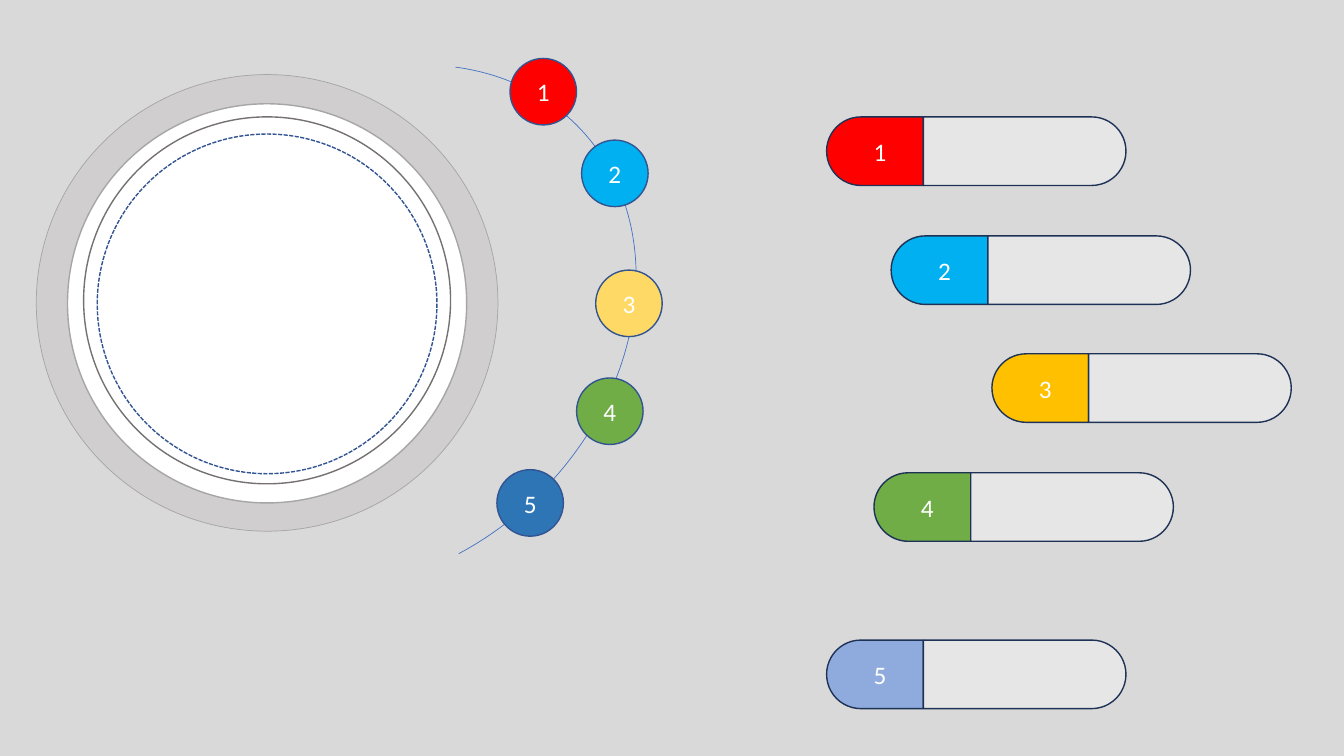
import pptx
import pptx.dml.color
import pptx.enum.dml
import pptx.enum.shapes
import pptx.enum.text
import pptx.util

COLORS = {
    "background": "D9D9D9", "white": "FFFFFF", "ring": "D0CECE", "ring_edge": "A5A5A5",
    "disc_edge": "A6A6A6", "inner_edge": "767171", "arc": "4472C4", "dot_edge": "325491",
    "pill": "E7E6E6", "pill_edge": "1E3256", "red": "FF0000", "sky": "00B0F0",
    "sand": "FFD966", "amber": "FFC000", "green": "70AD47", "blue": "2E75B6",
    "periwinkle": "8FAADC",
}
COLUMNS, ROWS = 133.33, 75
DOT_SIZE = 6.6
CAP_WIDTH, BODY_WIDTH, PILL_HEIGHT = 9.6, 20.1, 6.8
DIAL_CENTER = 26.5
SHAPES = pptx.enum.shapes.MSO_SHAPE


class SlideBuilder:
    """Draws styled elements on a slide divided into columns and rows."""

    def __init__(self, presentation):
        self.slide = presentation.slides.add_slide(presentation.slide_layouts[6])
        self.column = presentation.slide_width / COLUMNS
        self.row = presentation.slide_height / ROWS
        self.font_name, self.font_size = "Calibri", pptx.util.Pt(18)
        fill = self.slide.background.fill
        fill.solid()
        fill.fore_color.rgb = self.color("background")

    def color(self, name):
        return pptx.dml.color.RGBColor.from_string(COLORS[name])

    def shape(self, kind, left, top, width, height, fill, line, weight=1):
        shape = self.slide.shapes.add_shape(
            kind, round(left * self.column), round(top * self.row),
            round(width * self.column), round(height * self.row))
        shape.shadow.inherit = False
        if fill:
            shape.fill.solid()
            shape.fill.fore_color.rgb = self.color(fill)
        else:
            shape.fill.background()
        shape.line.color.rgb = self.color(line)
        shape.line.width = pptx.util.Pt(weight)
        return shape

    def label(self, shape, text):
        frame = shape.text_frame
        frame.text = text
        frame.vertical_anchor = pptx.enum.text.MSO_ANCHOR.MIDDLE
        paragraph = frame.paragraphs[0]
        paragraph.alignment = pptx.enum.text.PP_ALIGN.CENTER
        font = paragraph.runs[0].font
        font.name, font.size = self.font_name, self.font_size
        font.color.rgb = self.color("white")

    def arc(self, left, top, width, height, rotation, start, end):
        arc = self.shape(SHAPES.ARC, left, top, width, height, None, "arc", 0.5)
        arc.rotation = rotation
        arc.adjustments[0], arc.adjustments[1] = start, end

    def dial(self, top, width, height, fill, line, weight=1):
        left = DIAL_CENTER - width / 2
        return self.shape(SHAPES.OVAL, left, top, width, height, fill, line, weight)

    def dot(self, text, left, top, fill):
        dot = self.shape(SHAPES.OVAL, left, top, DOT_SIZE, DOT_SIZE, fill, "dot_edge")
        self.label(dot, text)

    def pill_end(self, left, top, width, fill, rounding):
        inset = (width - PILL_HEIGHT) / 2
        end = self.shape(SHAPES.ROUND_2_SAME_RECTANGLE, left + inset, top - inset,
                         PILL_HEIGHT, width, fill, "pill_edge")
        end.rotation = 90
        end.adjustments[0], end.adjustments[1] = rounding
        return end

    def pill(self, text, left, top, fill):
        cap = self.pill_end(left, top, CAP_WIDTH, fill, (0, 0.5))
        self.label(cap, text)
        cap.text_frame._txBody.bodyPr.set("vert", "vert270")
        self.pill_end(left + CAP_WIDTH, top, BODY_WIDTH, "pill", (0.5, 0))


def main():
    presentation = pptx.Presentation()
    presentation.slide_width = pptx.util.Inches(13.333)
    presentation.slide_height = pptx.util.Inches(7.5)
    builder = SlideBuilder(presentation)

    builder.arc(13.4, 3.9, 46.9, 57.2, 46.2, 144.99, 13.6)
    builder.dial(7.4, 45.8, 45.3, "ring", "ring_edge", 0.5)
    builder.dial(10.3, 39.6, 39.6, "white", "disc_edge")

    dots = [(50.6, 5.8, "red"), (57.7, 13.9, "sky"), (59.1, 26.8, "sand"),
            (57.2, 37.5, "green"), (49.3, 46.6, "blue")]
    for number, (left, top, fill) in enumerate(dots, 1):
        builder.dot(str(number), left, top, fill)

    builder.dial(11.6, 36.4, 36.4, "white", "inner_edge")
    center = builder.dial(13.3, 33.7, 33.7, "white", "dot_edge")
    center.line.dash_style = pptx.enum.dml.MSO_LINE.SQUARE_DOT

    pills = [(82, 11.6, "red"), (88.4, 23.4, "sky"), (98.4, 35.1, "amber"),
             (86.7, 46.9, "green"), (82, 63.5, "periwinkle")]
    for number, (left, top, fill) in enumerate(pills, 1):
        builder.pill(str(number), left, top, fill)

    presentation.save("out.pptx")


if __name__ == "__main__":
    main()
